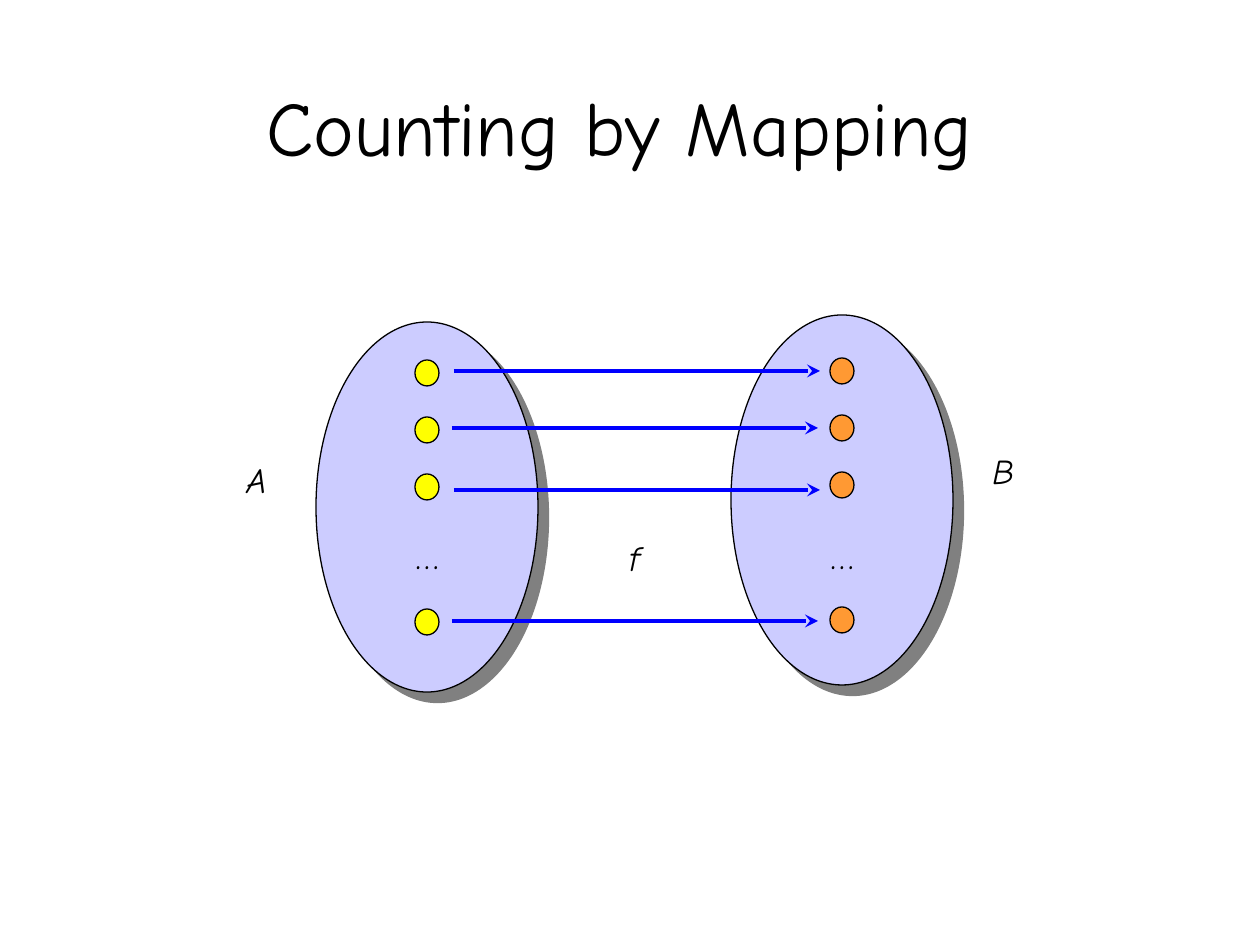
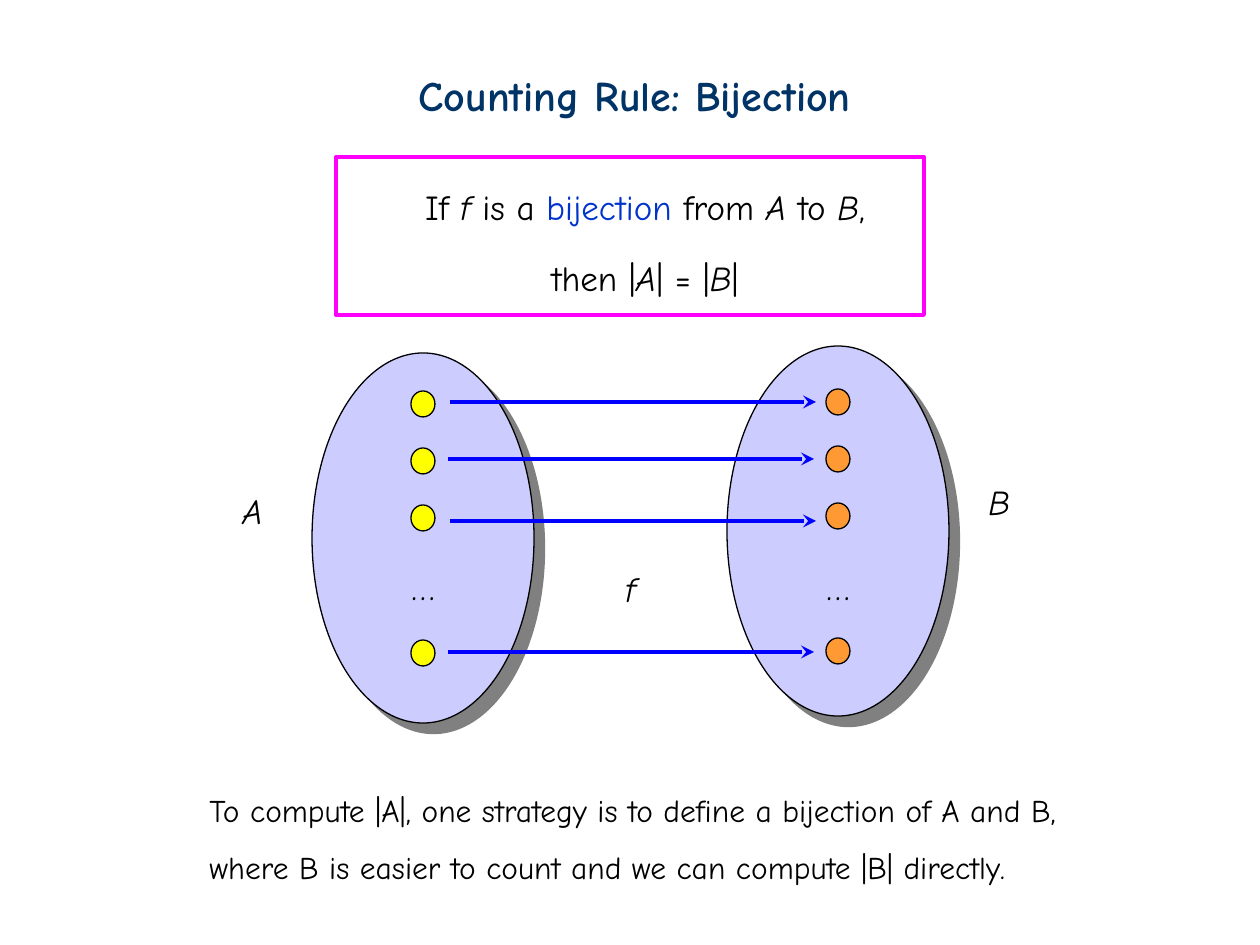
from lxml.etree import SubElement
from pptx import Presentation
from pptx.dml.color import RGBColor
from pptx.enum.shapes import MSO_CONNECTOR, MSO_SHAPE
from pptx.enum.text import MSO_ANCHOR, MSO_AUTO_SIZE, PP_ALIGN
from pptx.oxml.ns import qn
from pptx.util import Pt

PX_PER_INCH = 126
FONT = "Comic Neue"
BLACK, NAVY, BLUE = "000000", "003366", "0033CC"
SET_FILL, SET_SHADOW = "CCCCFF", "808080"
YELLOW, ORANGE = "FFFF00", "FF9933"
ARROW_BLUE, FRAME_PINK = "0000FF", "FF00FF"
ITALIC = {"italic": True}

SET_GAP = 415          # from the left set to the right one
DOT_TOPS = (45, 102, 159, 294)
ARROWS = ((138, 56), (136, 113), (138, 175), (136, 306))
ARROW_LENGTH = 366


def px(length):
    return round(length * 914400 / PX_PER_INCH)


def colour(hex_string):
    return RGBColor.from_string(hex_string)


def set_attributes(target, values):
    for name, value in values.items():
        setattr(target, name, value)


def set_line(line, hex_string, points):
    line.color.rgb = colour(hex_string)
    line.width = Pt(points)


def add_text(shapes, box, paragraphs, size=20, hex_string=BLACK, wrap=False,
             anchor=MSO_ANCHOR.TOP, **font_format):
    """Add a text box; a paragraph is (runs, format), a run (text, format[, colour])."""
    shape = shapes.add_textbox(*map(px, box))
    frame = shape.text_frame
    set_attributes(frame, {"word_wrap": wrap, "vertical_anchor": anchor,
                           "auto_size": MSO_AUTO_SIZE.NONE})
    for index, (runs, paragraph_format) in enumerate(paragraphs):
        paragraph = frame.paragraphs[0] if index == 0 else frame.add_paragraph()
        set_attributes(paragraph, paragraph_format)
        for text, run_format, *run_colour in runs:
            run = paragraph.add_run()
            run.text = text
            set_attributes(run.font, {"name": FONT, "size": Pt(size),
                                      **font_format, **run_format})
            run.font.color.rgb = colour(run_colour[0] if run_colour else hex_string)


def add_label(shapes, box, text, alignment=PP_ALIGN.LEFT, **options):
    add_text(shapes, box, [([(text, {})], {"alignment": alignment})], **options)


def add_shape(shapes, kind, box, fill=None, line=BLACK, points=0.75):
    shape = shapes.add_shape(kind, *map(px, box))
    shape.shadow.inherit = False
    if fill:
        shape.fill.solid()
        shape.fill.fore_color.rgb = colour(fill)
    else:
        shape.fill.background()
    set_line(shape.line, line, points)
    return shape


def add_hard_shadow(shape):
    effects = shape.element.spPr.find(qn("a:effectLst"))
    shadow = SubElement(effects, qn("a:outerShdw"), blurRad="0", dist=str(Pt(8.5)),
                        dir="2700000", algn="ctr", rotWithShape="0")
    SubElement(shadow, qn("a:srgbClr"), val=SET_SHADOW)


def add_arrow(shapes, left, top, length):
    ends = map(px, (left, top, left + length, top))
    arrow = shapes.add_connector(MSO_CONNECTOR.STRAIGHT, *ends)
    set_line(arrow.line, ARROW_BLUE, 2.5)
    SubElement(arrow.line._get_or_add_ln(), qn("a:tailEnd"), type="stealth")
    SubElement(arrow.element.spPr, qn("a:effectLst"))


def add_mapping(slide, left, top):
    """Draw the sets A and B and the arrows of f between them."""
    shapes = slide.shapes.add_group_shape().shapes
    for set_left, set_top in ((left, top + 7), (left + SET_GAP, top)):
        add_hard_shadow(add_shape(shapes, MSO_SHAPE.OVAL,
                                  (set_left, set_top, 222, 370), SET_FILL))
    for set_left, rise, fill in ((left, 0, YELLOW), (left + SET_GAP, 2, ORANGE)):
        for dot_top in DOT_TOPS:
            add_shape(shapes, MSO_SHAPE.OVAL,
                      (set_left + 99, top + dot_top - rise, 24, 26), fill)
        add_label(shapes, (set_left + 87, top + 213, 48, 55), "…", PP_ALIGN.CENTER)
    for arrow_left, arrow_top in ARROWS:
        add_arrow(shapes, left + arrow_left, top + arrow_top, ARROW_LENGTH)
    for name, name_left, name_top, width in (("A", -82, 137, 45), ("B", 664, 128, 47),
                                             ("f", 301, 215, 35)):
        add_label(shapes, (left + name_left, top + name_top, width, 55), name, **ITALIC)


def build_mapping_slide(slide):
    add_label(slide.shapes, (32, 63, 1176, 126), "Counting by Mapping", PP_ALIGN.CENTER,
              size=44, wrap=True, anchor=MSO_ANCHOR.MIDDLE)
    add_mapping(slide, 316, 315)


def build_bijection_slide(slide):
    add_label(slide.shapes, (406, 63, 457, 63), "Counting Rule: Bijection",
              size=24, hex_string=NAVY, bold=True)
    condition = [("If ", {}), ("f", ITALIC), (" is a ", {}), ("bijection", {}, BLUE),
                 (" from ", {}), ("A", ITALIC), (" to ", {}), ("B", ITALIC), (",", {})]
    conclusion = [("then |", {}), ("A", ITALIC), ("| = |", {}), ("B", ITALIC), ("|", {})]
    centred = {"alignment": PP_ALIGN.CENTER}
    add_text(slide.shapes, (73, 179, 1144, 127),
             [(condition, centred),
              (conclusion, {**centred, "line_spacing": 1.5, "space_before": Pt(5)})],
             wrap=True)
    add_mapping(slide, 312, 346)
    add_shape(slide.shapes, MSO_SHAPE.RECTANGLE, (336, 157, 588, 158),
              line=FRAME_PINK, points=2.25)
    strategy = "To compute |A|, one strategy is to define a bijection of A and B,"
    reason = "where B is easier to count and we can compute |B| directly."
    add_text(slide.shapes, (197, 785, 878, 107),
             [([(strategy, {})], {}), ([(reason, {})], {"line_spacing": 1.5})], size=18)


def main():
    presentation = Presentation()
    presentation.slide_width, presentation.slide_height = px(1260), px(945)
    for build in (build_mapping_slide, build_bijection_slide):
        build(presentation.slides.add_slide(presentation.slide_layouts[6]))
    presentation.save("out.pptx")


if __name__ == "__main__":
    main()
